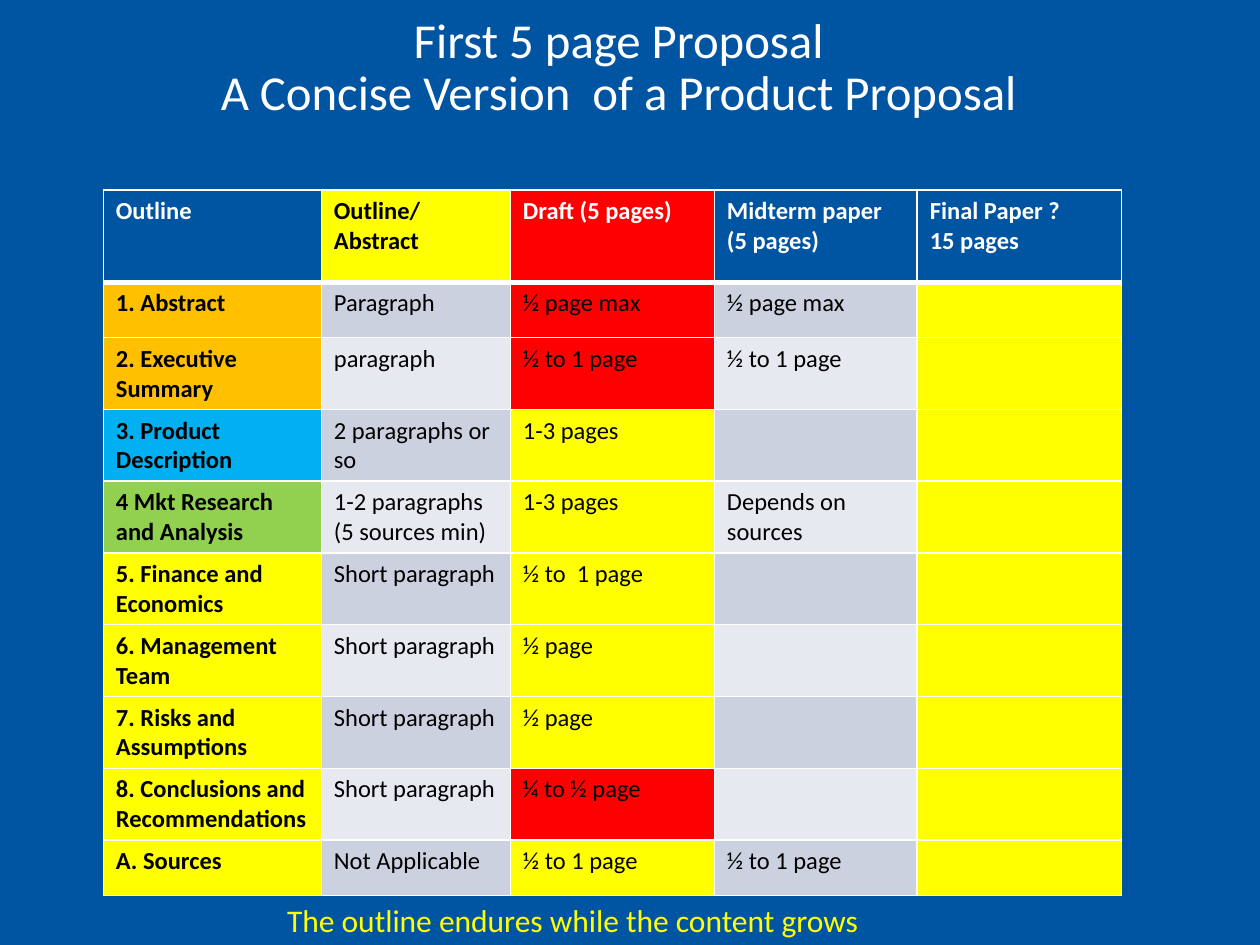
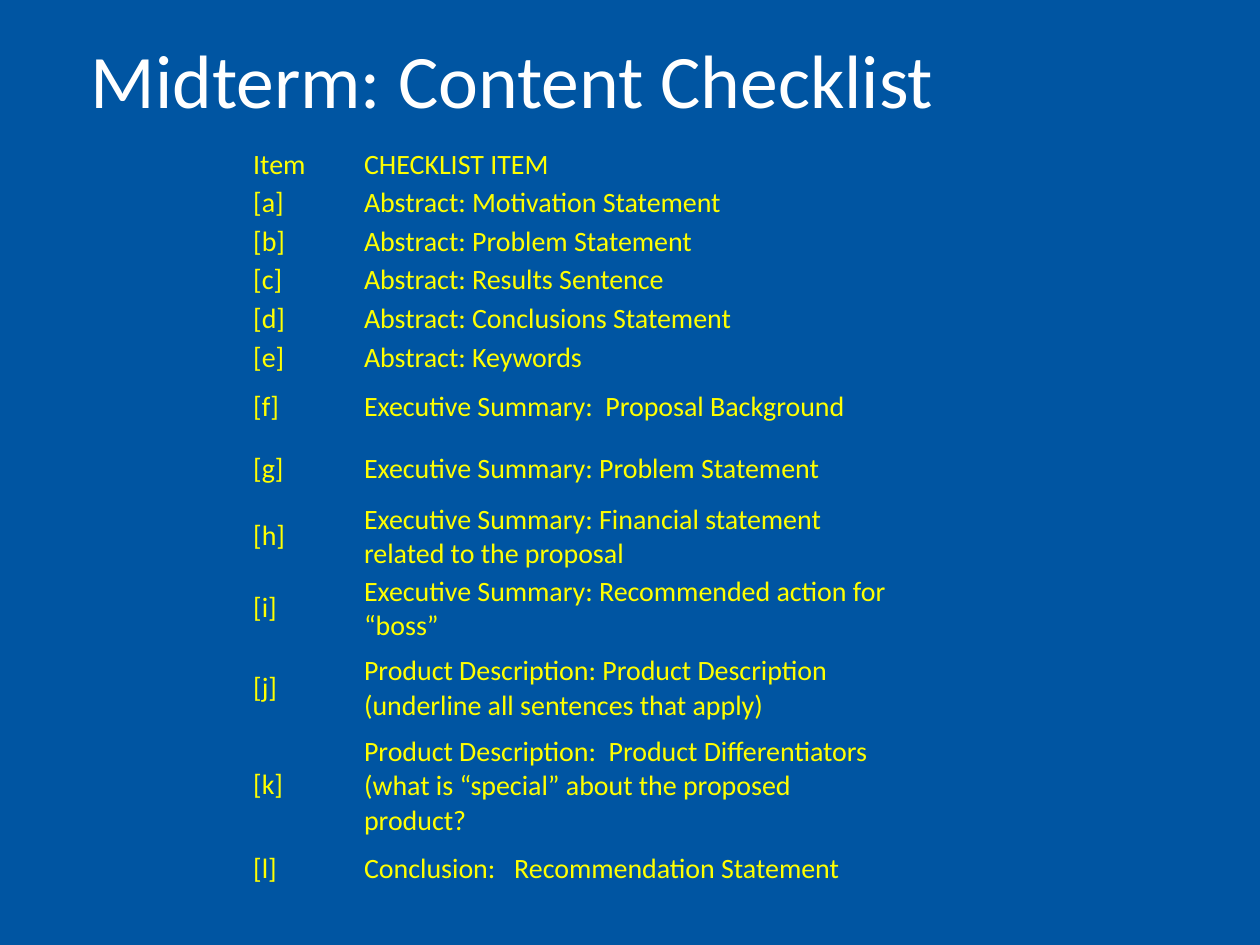
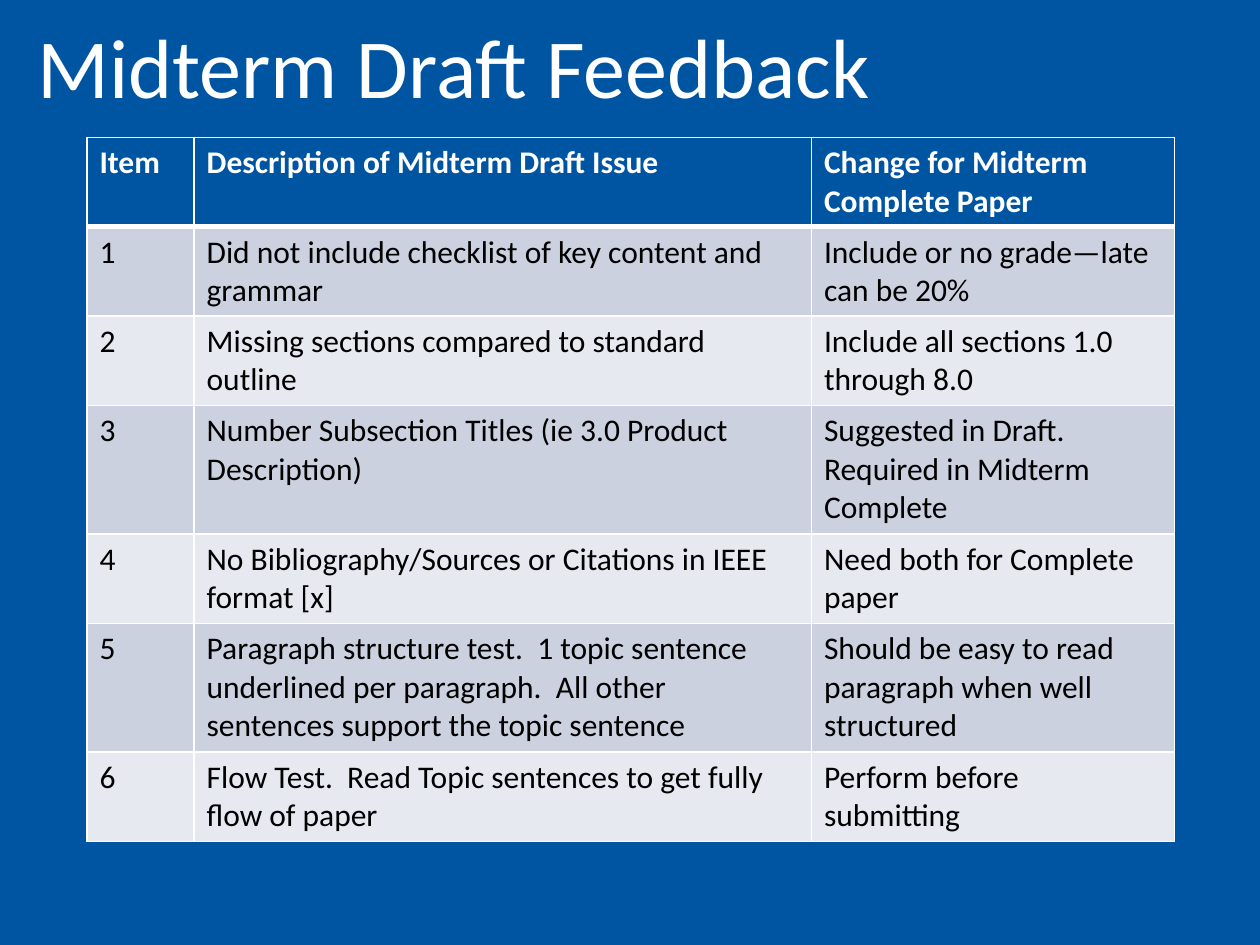
import pptx
import pptx.dml.color
import pptx.enum.text
import pptx.oxml.ns
import pptx.util
import lxml.etree

ANCHOR = pptx.enum.text.MSO_ANCHOR
ALIGN = pptx.enum.text.PP_ALIGN
FONT = "Calibri"
BLUE, WHITE, BLACK, YELLOW = "0055A2", "FFFFFF", "000000", "FFFF00"
FILLS = {
    "B": BLUE, "Y": YELLOW, "R": "FF0000", "O": "FFC000", "S": "00B0F0",
    "G": "92D050", "D": "CCD1E0", "L": "E7E9F0",
}
NO_STYLE = "{2D5ABB26-0587-4C30-8999-92F81FD0307C}"


def colour(value):
    return pptx.dml.color.RGBColor.from_string(value)


def write(frame, text, size, color=WHITE, bold=False, align=ALIGN.LEFT, spacing=1.0):
    frame.word_wrap = True
    for index, line in enumerate(text.split("\n")):
        paragraph = frame.add_paragraph() if index else frame.paragraphs[0]
        paragraph.text = line
        paragraph.alignment = align
        paragraph.line_spacing = spacing
        for run in paragraph.runs:
            run.font.name = FONT
            run.font.size = pptx.util.Pt(size)
            run.font.bold = bold
            run.font.color.rgb = colour(color)


presentation = pptx.Presentation()
presentation.slide_width = pptx.util.Inches(10)
presentation.slide_height = pptx.util.Inches(7.5)
unit = presentation.slide_width // 100

pages = [
    {
        "title": "First 5 page Proposal\vA Concise Version  of a Product Proposal",
        "title_box": (6, 0.6, 86.2, 9.7), "title_size": 27.9, "title_align": ALIGN.CENTER,
        "origin": (8.2, 15.1), "size": 14, "bold_columns": 1,
        "columns": [17.3, 15, 16.2, 16.1, 16.2],
        "heights": [7.3, 4.4] + [5.7] * 7 + [4.4],
        "fills": ["BYRBB", "ODRDY", "OLRLY", "SDYDY", "GLYLY",
                  "YDYDY", "YLYLY", "YDYDY", "YLRLY", "YDYDY"],
        "rows": [
            ("Outline", "Outline/ Abstract", "Draft (5 pages)", "Midterm paper (5 pages)", "Final Paper ?\n15 pages"),
            ("1. Abstract", "Paragraph", "½ page max", "½ page max", ""),
            ("2. Executive Summary", "paragraph", "½ to 1 page", "½ to 1 page", ""),
            ("3. Product Description", "2 paragraphs or so", "1-3 pages", "", ""),
            ("4 Mkt Research and Analysis", "1-2 paragraphs\n(5 sources min)", "1-3 pages", "Depends on sources", ""),
            ("5. Finance and Economics", "Short paragraph", "½ to  1 page", "", ""),
            ("6. Management Team", "Short paragraph", "½ page", "", ""),
            ("7. Risks and Assumptions", "Short paragraph", "½ page", "", ""),
            ("8. Conclusions and Recommendations", "Short paragraph", "¼ to ½ page", "", ""),
            ("A. Sources", "Not Applicable", "½ to 1 page", "½ to 1 page", ""),
        ],
        "footer": "The outline endures while the content grows",
    },
    {
        "title": "Midterm: Content Checklist",
        "title_box": (6.2, 1.8, 86.2, 9.7), "title_size": 43.2, "title_align": ALIGN.LEFT,
        "origin": (19.7, 11.5), "size": 16, "bold_columns": 0,
        "columns": [8.8, 42.5],
        "heights": [2.8] * 6 + [4.9] * 4 + [7, 7, 4.9],
        "fills": None,
        "rows": [
            ("Item", "CHECKLIST ITEM"),
            ("[a]", "Abstract: Motivation Statement"),
            ("[b]", "Abstract: Problem Statement"),
            ("[c]", "Abstract: Results Sentence"),
            ("[d]", "Abstract: Conclusions Statement"),
            ("[e]", "Abstract: Keywords"),
            ("[f]", "Executive Summary:  Proposal Background"),
            ("[g]", "Executive Summary: Problem Statement"),
            ("[h]", "Executive Summary: Financial statement related to the proposal"),
            ("[i]", "Executive Summary: Recommended action for “boss”"),
            ("[j]", "Product Description: Product Description (underline all sentences that apply)"),
            ("[k]", "Product Description:  Product Differentiators (what is “special” about the proposed product?"),
            ("[l]", "Conclusion:   Recommendation Statement"),
        ],
        "footer": None,
    },
    {
        "title": "Midterm Draft Feedback",
        "title_box": (2, 0.8, 96.2, 9.7), "title_size": 48, "title_align": ALIGN.LEFT,
        "origin": (6.9, 10.9), "size": 18, "bold_columns": 0,
        "columns": [8.5, 49, 28.8],
        "heights": [7.1, 7.1, 7.1, 10.2, 7.1, 10.2, 7.1],
        "fills": ["BBB"] + ["DDD", "LLL"] * 3,
        "rows": [
            ("Item", "Description of Midterm Draft Issue", "Change for Midterm Complete Paper"),
            ("1", "Did not include checklist of key content and grammar", "Include or no grade—late can be 20%"),
            ("2", "Missing sections compared to standard outline", "Include all sections 1.0 through 8.0"),
            ("3", "Number Subsection Titles (ie 3.0 Product Description)",
             "Suggested in Draft. Required in Midterm Complete"),
            ("4", "No Bibliography/Sources or Citations in IEEE format [x]", "Need both for Complete paper"),
            ("5", "Paragraph structure test.  1 topic sentence underlined per paragraph.  "
             "All other sentences support the topic sentence",
             "Should be easy to read paragraph when well structured"),
            ("6", "Flow Test.  Read Topic sentences to get fully flow of paper", "Perform before submitting"),
        ],
        "footer": None,
    },
]

for page in pages:
    slide = presentation.slides.add_slide(presentation.slide_layouts[6])
    slide.background.fill.solid()
    slide.background.fill.fore_color.rgb = colour(BLUE)

    title = slide.shapes.add_textbox(*[int(length * unit) for length in page["title_box"]])
    title.text_frame.vertical_anchor = ANCHOR.MIDDLE
    write(title.text_frame, page["title"], page["title_size"], align=page["title_align"], spacing=0.9)

    left, top = page["origin"]
    box = [int(length * unit) for length in (left, top, sum(page["columns"]), sum(page["heights"]))]
    graphic_frame = slide.shapes.add_table(len(page["rows"]), len(page["columns"]), *box)
    for style in graphic_frame.element.iter(pptx.oxml.ns.qn("a:tableStyleId")):
        style.text = NO_STYLE
    table = graphic_frame.table
    for column, width in zip(table.columns, page["columns"]):
        column.width = int(width * unit)
    for row, height in zip(table.rows, page["heights"]):
        row.height = int(height * unit)

    for row_index, texts in enumerate(page["rows"]):
        header = row_index == 0
        for column_index, text in enumerate(texts):
            cell = table.cell(row_index, column_index)
            if page["fills"] is None:
                cell.vertical_anchor = ANCHOR.MIDDLE
                cell.margin_left = cell.margin_right = int(0.4 * unit)
                cell.margin_top = cell.margin_bottom = int(0.2 * unit)
                cell.fill.background()
                write(cell.text_frame, text, page["size"], color=YELLOW)
                continue

            properties = cell._tc.get_or_add_tcPr()
            for side in "LRTB":
                thick = (header and side == "B") or (row_index == 1 and side == "T")
                line = lxml.etree.SubElement(properties, pptx.oxml.ns.qn("a:ln" + side))
                line.set("w", str(pptx.util.Pt(3 if thick else 1)))
                solid = lxml.etree.SubElement(line, pptx.oxml.ns.qn("a:solidFill"))
                lxml.etree.SubElement(solid, pptx.oxml.ns.qn("a:srgbClr")).set("val", WHITE)
            fill = FILLS[page["fills"][row_index][column_index]]
            cell.fill.solid()
            cell.fill.fore_color.rgb = colour(fill)
            write(cell.text_frame, text, page["size"],
                  color=WHITE if header and fill != YELLOW else BLACK,
                  bold=header or column_index < page["bold_columns"])

    if page["footer"]:
        footer = slide.shapes.add_textbox(*[int(length * unit) for length in (21.8, 71, 50, 4)])
        write(footer.text_frame, page["footer"], 18, color=YELLOW)

presentation.save("out.pptx")
